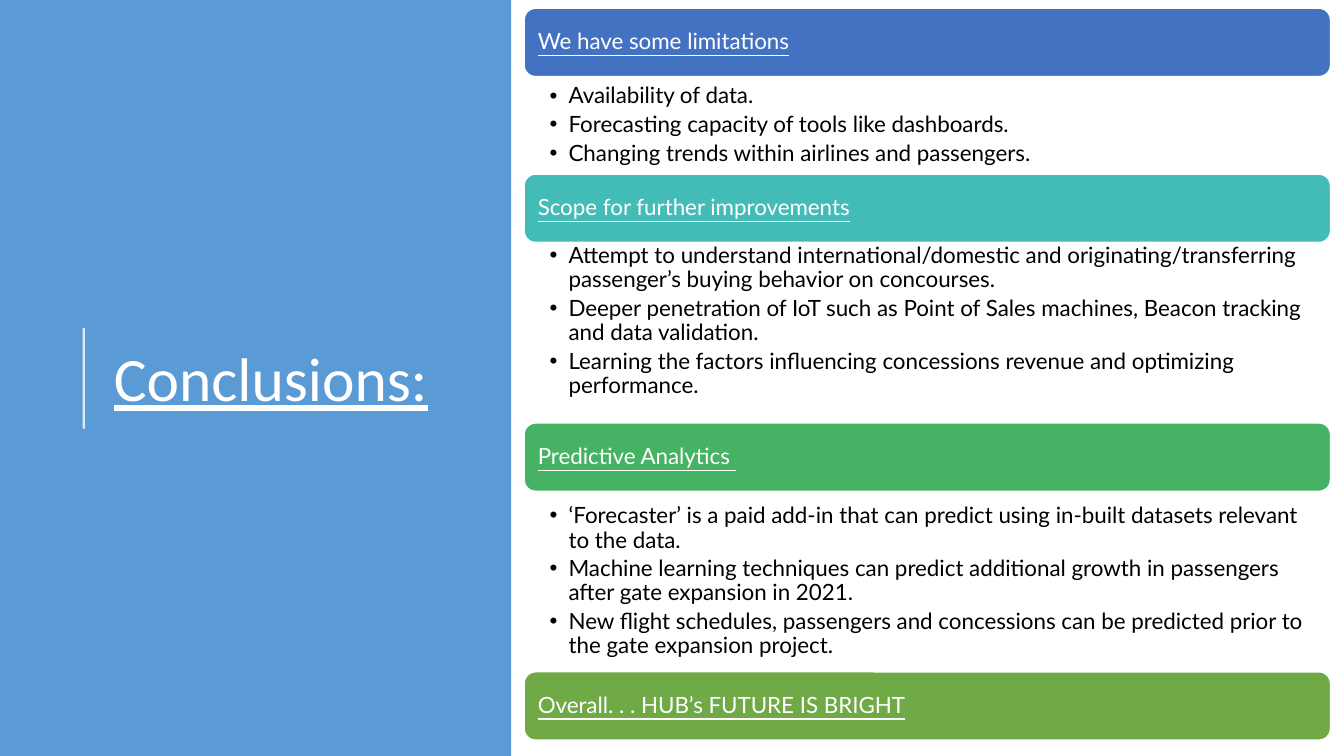
from lxml.etree import SubElement
from pptx import Presentation
from pptx.dml.color import RGBColor
from pptx.enum.shapes import MSO_CONNECTOR as LINK, MSO_SHAPE as SHAPE
from pptx.enum.text import MSO_ANCHOR as ANCHOR
from pptx.oxml.ns import qn
from pptx.util import Cm, Pt

WIDE, HIGH = 33.87, 19.05
BAND = 1.72

# Heading, band colour, height of the list below, list anchor, list items
TOPICS = [
    ("We have some limitations", "4372C3", 2.46, ANCHOR.MIDDLE, [
        "Availability of data.",
        "Forecasting capacity of tools like dashboards.",
        "Changing trends within airlines and passengers."]),
    ("Scope for further improvements", "43BCB8", 4.55, ANCHOR.TOP, [
        "Attempt to understand international/domestic and originating/transferring "
        "passenger’s buying behavior on concourses.",
        "Deeper penetration of IoT such as Point of Sales machines, Beacon tracking "
        "and data validation.",
        "Learning the factors influencing concessions revenue and optimizing "
        "performance."]),
    ("Predictive Analytics ", "45B363", 4.55, ANCHOR.MIDDLE, [
        "‘Forecaster’ is a paid add-in that can predict using in-built datasets "
        "relevant to the data.",
        "Machine learning techniques can predict additional growth in passengers "
        "after gate expansion in 2021.",
        "New flight schedules, passengers and concessions can be predicted prior to "
        "the gate expansion project."]),
    ("Overall. . . HUB’s FUTURE IS BRIGHT", "6FAA47", 0, ANCHOR.MIDDLE, []),
]


def color(code):
    return RGBColor.from_string(code)


def block(slide, kind, box, fill):
    shape = slide.shapes.add_shape(kind, *map(Cm, box))
    shape.shadow.inherit = False
    shape.fill.solid()
    shape.fill.fore_color.rgb = color(fill)
    shape.line.fill.background()
    return shape


def set_frame(frame, anchor, left, top, right):
    frame.word_wrap = True
    frame.vertical_anchor = anchor
    frame.margin_left, frame.margin_right = Cm(left), Cm(right)
    frame.margin_top = frame.margin_bottom = Cm(top)


def style(para, face, size, code, under=False):
    para.line_spacing = 0.9
    for run in para.runs:
        font = run.font
        font.name, font.size, font.underline = face, Pt(size), under
        font.color.rgb = color(code)


def bullet(para):
    props = para._p.get_or_add_pPr()
    props.set("marL", str(Cm(0.48)))
    props.set("indent", str(-Cm(0.48)))
    SubElement(props, qn("a:buFont"), typeface="Arial")
    SubElement(props, qn("a:buChar"), char="•")


def rule(slide, x, top, end):
    """Draw a thin, slightly transparent white upright line."""
    line = slide.shapes.add_connector(LINK.STRAIGHT, Cm(x), Cm(top), Cm(x), Cm(end))
    line.line.width = Pt(1.5)
    line.line.color.rgb = color("FFFFFF")
    tone = line._element.spPr.find(".//" + qn("a:srgbClr"))
    SubElement(tone, qn("a:alpha"), val="80000")
    SubElement(line._element.spPr, qn("a:effectLst"))


def side(slide, x, y, w, h):
    """Fill the left panel with the title and its rule."""
    block(slide, SHAPE.RECTANGLE, (x, y, w, h), "5B9BD5")
    title = slide.shapes.add_textbox(Cm(x + 2.62), Cm(y + 1.98), Cm(9.37), Cm(15.29))
    frame = title.text_frame
    set_frame(frame, ANCHOR.MIDDLE, 0.25, 0.13, 0.25)
    frame.text = "Conclusions:"
    style(frame.paragraphs[0], "Calibri", 44, "FFFFFF", True)
    rule(slide, x + 2.11, y + 8.26, y + 10.8)


def band(slide, box, text, fill):
    shape = block(slide, SHAPE.ROUNDED_RECTANGLE, box, fill)
    shape.line.color.rgb = color("FFFFFF")
    shape.line.width = Pt(1)
    frame = shape.text_frame
    set_frame(frame, ANCHOR.MIDDLE, 0.26, 0.18, 0.26)
    frame.text = text
    para = frame.paragraphs[0]
    para.alignment = 1
    style(para, "Lato", 16, "FFFFFF", True)


def points(slide, box, items, anchor):
    frame = slide.shapes.add_textbox(*map(Cm, box)).text_frame
    set_frame(frame, anchor, 0.64, 0.05, 0.3)
    frame.text = "\n".join(items)
    for i, para in enumerate(frame.paragraphs):
        style(para, "Lato", 16, "000000")
        if i:
            para.space_before = Pt(3.2)
        bullet(para)


def stack(slide, x, y, w):
    """Place each topic's band and list below the one before."""
    for head, fill, tall, anchor, items in TOPICS:
        band(slide, (x, y, w, BAND), head, fill)
        y += BAND
        if items:
            points(slide, (x, y, w, tall), items, anchor)
        y += tall


def main():
    deck = Presentation()
    deck.slide_width, deck.slide_height = Cm(WIDE), Cm(HIGH)
    slide = deck.slides.add_slide(deck.slide_layouts[6])
    side(slide, 0, 0, 12.88, HIGH)
    stack(slide, 13.21, 0.21, 20.32)
    deck.save("out.pptx")


if __name__ == "__main__":
    main()
